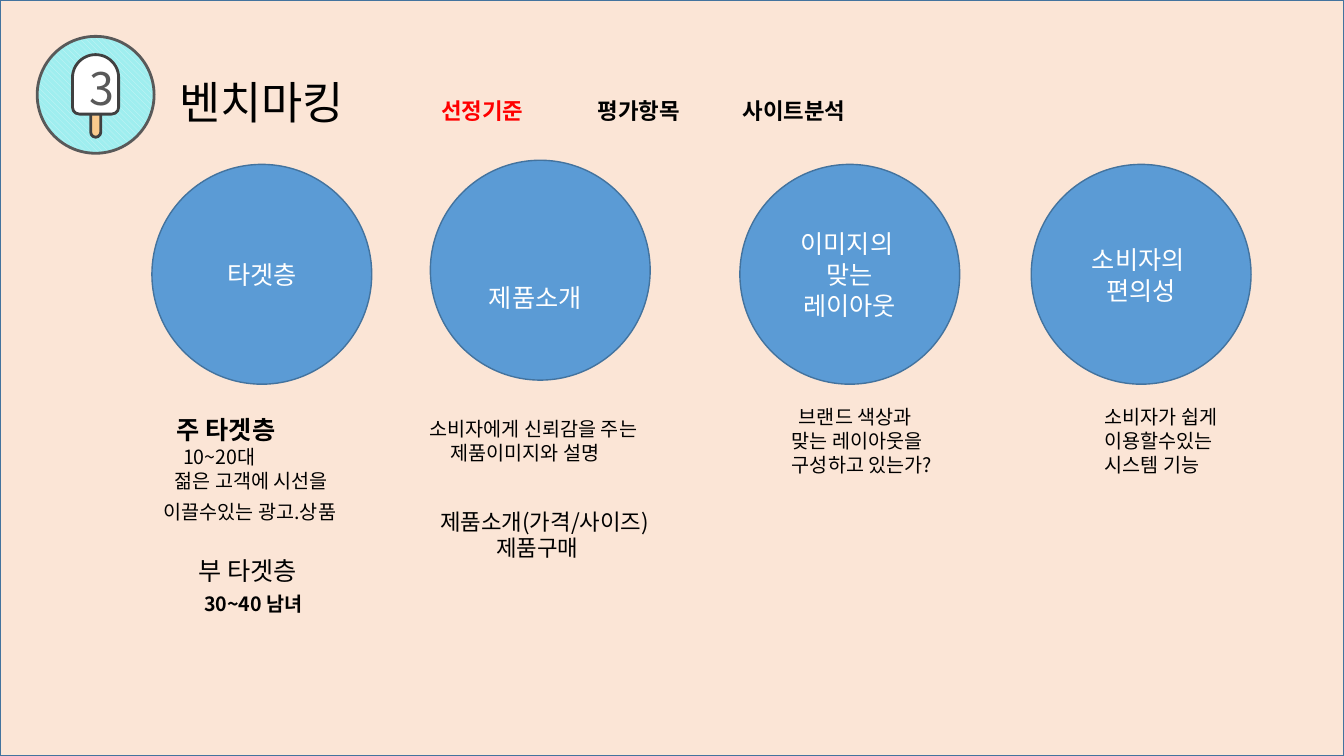
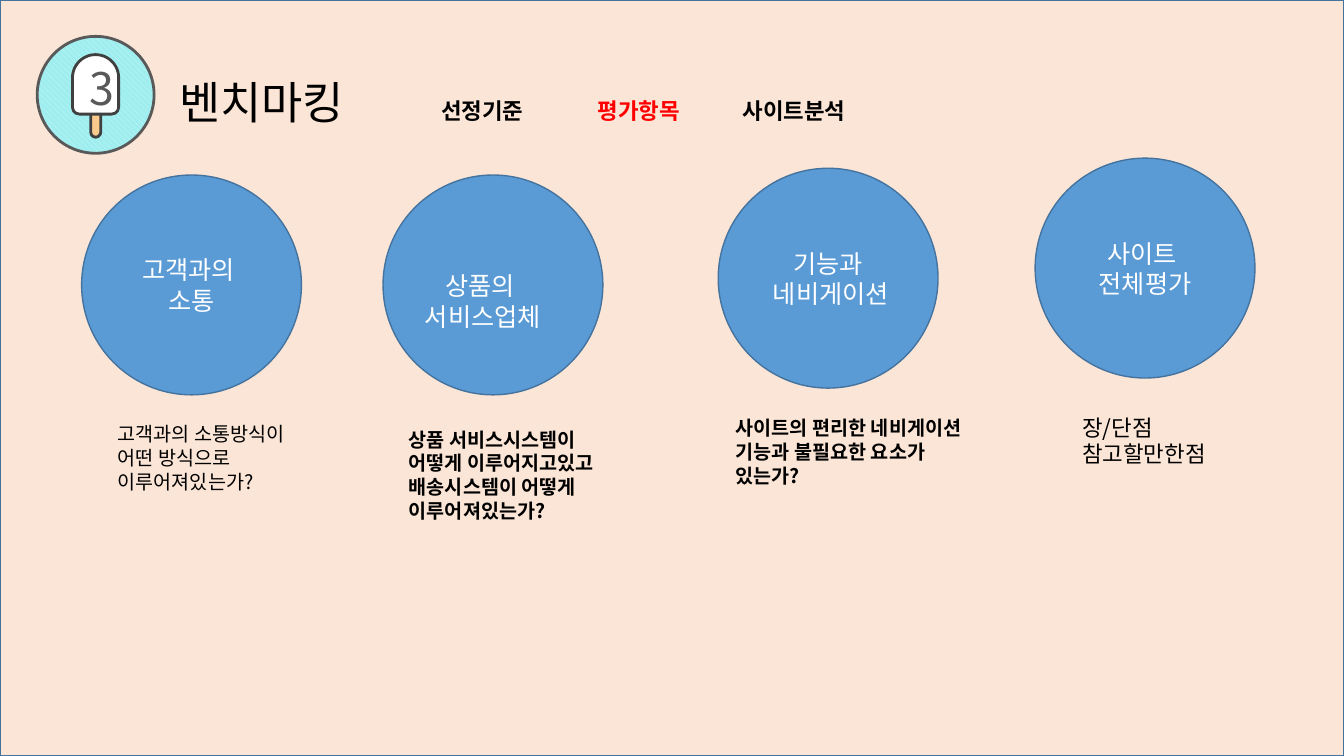
"""Build two benchmarking slides with a shared header, topic circles and notes."""
from dataclasses import dataclass

from lxml.etree import SubElement
from pptx import Presentation
from pptx.dml.color import RGBColor
from pptx.enum.dml import MSO_PATTERN
from pptx.enum.shapes import MSO_SHAPE as Shape
from pptx.enum.text import MSO_ANCHOR as Anchor, PP_ALIGN as Align
from pptx.oxml.ns import qn
from pptx.util import Pt

FONT = "Noto Sans CJK KR"
BLACK = RGBColor(0x00, 0x00, 0x00)
WHITE = RGBColor(0xFF, 0xFF, 0xFF)
RED = RGBColor(0xFF, 0x00, 0x00)
PEACH = RGBColor(0xFB, 0xE5, 0xD6)
BLUE = RGBColor(0x5B, 0x9B, 0xD5)
DARK_BLUE = RGBColor(0x43, 0x73, 0x9E)
GRAY = RGBColor(0x59, 0x59, 0x59)
DARK_GRAY = RGBColor(0x40, 0x40, 0x40)
MINT = RGBColor(0x9F, 0xEE, 0xEF)
PALE_MINT = RGBColor(0xD1, 0xF6, 0xF7)
CARAMEL = RGBColor(0xFA, 0xCA, 0x8D)

SLIDE_WIDTH, SLIDE_HEIGHT = 960, 540
CIRCLE_SIZE = 157
SIDE_MARGIN, TOP_MARGIN = 7.2, 3.6
SECTIONS = ("선정기준", "평가항목", "사이트분석")
SECTION_TABS = (187, 299, 402.5)


@dataclass
class Line:
    """One paragraph of a note."""
    text: str
    size: int = 14
    bold: bool = False
    indent: float = 0
    before: float = 0


def add_run(paragraph, text, size, color, bold=False):
    """Append one formatted run."""
    run = paragraph.add_run()
    run.text = text
    font = run.font
    font.name, font.size, font.bold = FONT, Pt(size), bold
    font.color.rgb = color
    SubElement(font._element, qn("a:ea")).set("typeface", FONT)


def set_spacing(paragraph, size):
    """Give a paragraph a line height that suits its text size."""
    paragraph.line_spacing = Pt(round(size * 1.21))


def next_paragraph(frame, index):
    """Return the first paragraph, or a new one after it."""
    return frame.add_paragraph() if index else frame.paragraphs[0]


def add_shape(parent, kind, box, fill, line, line_width=1):
    """Add a preset shape with a solid fill and an outline."""
    shape = parent.shapes.add_shape(kind, *map(Pt, box))
    shape.shadow.inherit = False
    shape.fill.solid()
    shape.fill.fore_color.rgb = fill
    shape.line.color.rgb = line
    shape.line.width = Pt(line_width)
    return shape


def add_text_box(slide, box):
    """Add a wrapping text box and return its frame."""
    frame = slide.shapes.add_textbox(*map(Pt, box)).text_frame
    frame.word_wrap = True
    return frame


def add_centred_text(shape, lines, size, color):
    """Write centred lines in the middle of a shape."""
    frame = shape.text_frame
    frame.word_wrap = True
    frame.vertical_anchor = Anchor.MIDDLE
    for index, text in enumerate(lines):
        paragraph = next_paragraph(frame, index)
        paragraph.alignment = Align.CENTER
        set_spacing(paragraph, size)
        add_run(paragraph, text, size, color)


def add_badge(slide, number):
    """Draw the numbered ice lolly in its round badge."""
    group = slide.shapes.add_group_shape()
    disc = add_shape(group, Shape.OVAL, (26.6, 26, 83.5, 83.5), MINT, GRAY, 2)
    disc.fill.patterned()
    disc.fill.pattern = MSO_PATTERN.WIDE_DOWNWARD_DIAGONAL
    disc.fill.fore_color.rgb = PALE_MINT
    disc.fill.back_color.rgb = MINT
    rounded = Shape.ROUND_2_SAME_RECTANGLE
    stick = add_shape(group, rounded, (64.8, 77, 7.2, 21), CARAMEL, DARK_GRAY, 2)
    stick.adjustments[0], stick.adjustments[1] = 0, 0.5
    ice = add_shape(group, rounded, (51.8, 39, 33, 42.5), WHITE, DARK_GRAY, 2)
    ice.adjustments[0], ice.adjustments[1] = 0.5, 0.15
    add_centred_text(ice, [number], 32, GRAY)


def add_header(slide, active):
    """Write the title and the section names, the active one in red."""
    paragraph = add_text_box(slide, (121, 30.2, 634, 65.5)).paragraphs[0]
    paragraph.line_spacing = Pt(58)
    tab_list = SubElement(paragraph._p.get_or_add_pPr(), qn("a:tabLst"))
    for position in SECTION_TABS:
        tab = SubElement(tab_list, qn("a:tab"))
        tab.set("pos", str(Pt(position)))
        tab.set("algn", "l")
    add_run(paragraph, "벤치마킹", 32, BLACK)
    for section in SECTIONS:
        color = RED if section == active else BLACK
        add_run(paragraph, "\t" + section, 16, color, True)


def add_circle(slide, left, top, lines, shift=0, drop=0):
    """Add a topic circle; shift and drop move its text left and down."""
    box = (left, top, CIRCLE_SIZE, CIRCLE_SIZE)
    circle = add_shape(slide, Shape.OVAL, box, BLUE, DARK_BLUE)
    frame = circle.text_frame
    frame.margin_left = Pt(SIDE_MARGIN - shift)
    frame.margin_right = Pt(SIDE_MARGIN + shift)
    frame.margin_top = Pt(TOP_MARGIN + 2 * drop)
    add_centred_text(circle, lines, 18, WHITE)


def add_note(slide, box, lines):
    """Add a text box of indented lines."""
    frame = add_text_box(slide, box)
    for index, line in enumerate(lines):
        paragraph = next_paragraph(frame, index)
        set_spacing(paragraph, line.size)
        if line.before:
            paragraph.space_before = Pt(line.before)
        if line.indent:
            paragraph._p.get_or_add_pPr().set("marL", str(Pt(line.indent)))
        add_run(paragraph, line.text, line.size, BLACK, line.bold)


def add_slide(presentation, active, circles, notes):
    """Build one slide from its active section, circles and notes."""
    slide = presentation.slides.add_slide(presentation.slide_layouts[6])
    add_shape(slide, Shape.RECTANGLE, (0, 0, SLIDE_WIDTH, SLIDE_HEIGHT), PEACH, DARK_BLUE)
    add_badge(slide, "3")
    add_header(slide, active)
    for circle in circles:
        add_circle(slide, *circle)
    for box, lines in notes:
        add_note(slide, box, lines)


CRITERIA_CIRCLES = [
    (108.5, 117.4, ["타겟층"]),
    (307.4, 114.5, ["제품소개"], 3.6, 19),
    (528.5, 117.4, ["이미지의 ", "맞는 레이아웃"]),
    (736.6, 117.4, ["소비자의 ", "편의성"]),
]
CRITERIA_NOTES = [
    ((90.7, 292.3, 220, 90), [
        Line("주 타겟층", 18, True, 28.5),
        Line("10~20대", indent=33),
        Line("젊은 고객에 시선을", indent=27),
        Line("이끌수있는 광고.상품", indent=19, before=5),
    ]),
    ((126.7, 392.4, 140, 51), [
        Line("부 타겟층", 18, indent=8),
        Line("30~40 남녀", bold=True, indent=12, before=5),
    ]),
    ((275.8, 294, 220, 60), [
        Line("소비자에게 신뢰감을 주는", indent=24),
        Line("제품이미지와 설명", indent=39),
    ]),
    ((307.4, 359.3, 208, 46), [
        Line("제품소개(가격/사이즈)", 16),
        Line("제품구매", 16, indent=40),
    ]),
    ((543.6, 285.8, 163, 58), [
        Line("브랜드 색상과", indent=20),
        Line("맞는 레이아웃을", indent=15),
        Line("구성하고 있는가?", indent=15),
    ]),
    ((782, 285.8, 170, 58), [
        Line("소비자가 쉽게"),
        Line("이용할수있는"),
        Line("시스템 기능"),
    ]),
]

EVALUATION_CIRCLES = [
    (58.3, 125, ["고객과의 ", "소통"]),
    (273.6, 125, ["상품의 ", "서비스업체"], 7.2, 11),
    (513, 120.2, ["기능과", " 네비게이션"]),
    (739.4, 113, ["사이트 ", "전체평가"]),
]
EVALUATION_NOTES = [
    ((77, 297.6, 188.6, 58), [
        Line("고객과의 소통방식이"),
        Line("어떤 방식으로"),
        Line("이루어져있는가?"),
    ]),
    ((285, 301.7, 168.5, 75), [
        Line("상품 서비스시스템이 어떻게 이루어지고있고 배송시스템이 어떻게 이루어져있는가?", bold=True),
    ]),
    ((518.4, 293.5, 177, 80), [
        Line("사이트의 편리한 네비게이션 기능과 불필요한 요소가 있는가?", bold=True),
    ]),
    ((766, 292.3, 126, 46), [
        Line("장/단점", 16),
        Line("참고할만한점", 16),
    ]),
]


def main():
    """Create and save the presentation."""
    presentation = Presentation()
    presentation.slide_width = Pt(SLIDE_WIDTH)
    presentation.slide_height = Pt(SLIDE_HEIGHT)
    add_slide(presentation, SECTIONS[0], CRITERIA_CIRCLES, CRITERIA_NOTES)
    add_slide(presentation, SECTIONS[1], EVALUATION_CIRCLES, EVALUATION_NOTES)
    presentation.save("out.pptx")


if __name__ == "__main__":
    main()
